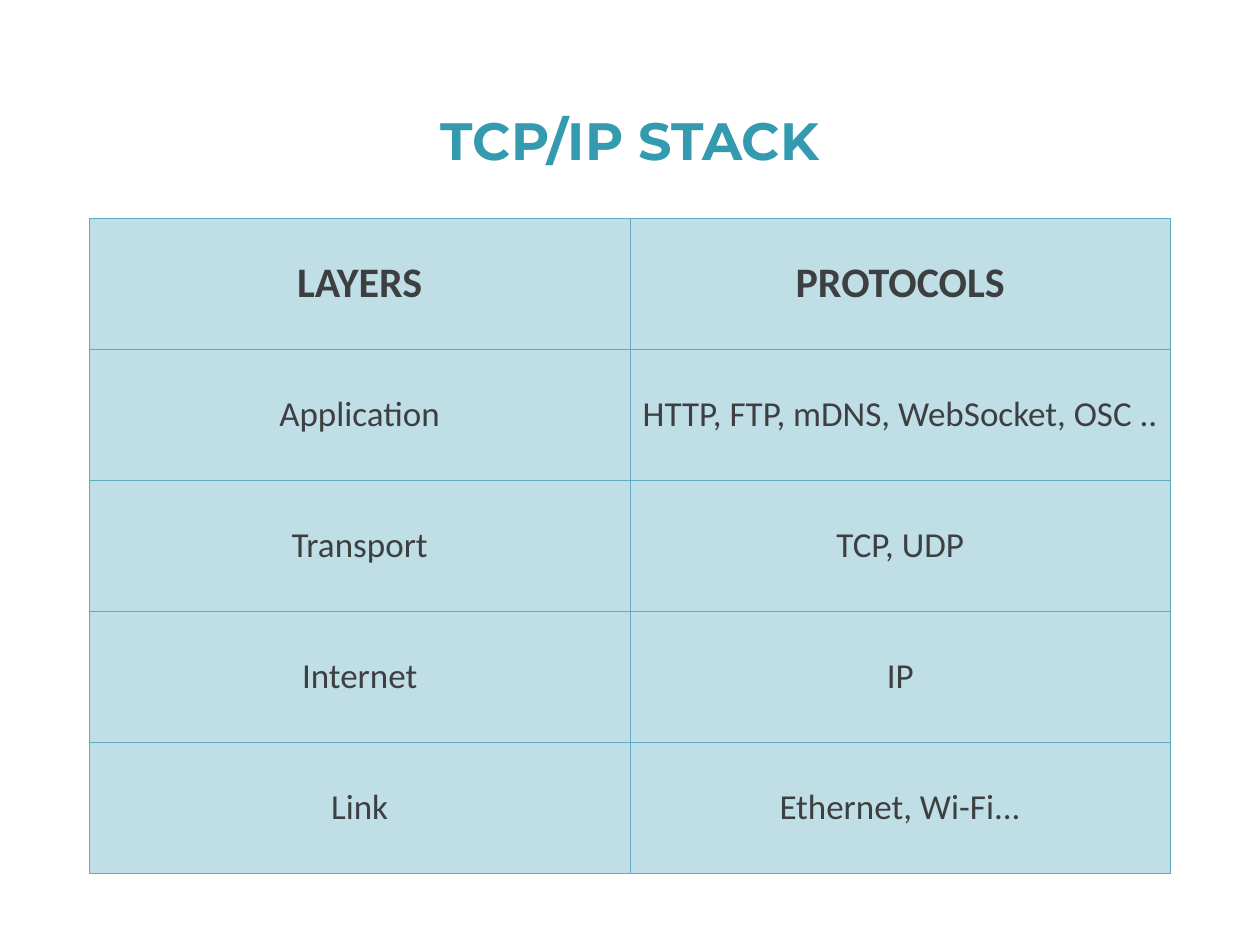
from lxml.etree import SubElement as Sub
from pptx import Presentation
from pptx.dml.color import RGBColor
from pptx.enum.text import MSO_ANCHOR as Anchor, PP_ALIGN as Align
from pptx.oxml.ns import qn
from pptx.util import Inches, Pt

ROWS = [
    ("LAYERS", "PROTOCOLS"),
    ("Application", "HTTP, FTP, mDNS, WebSocket, OSC .."),
    ("Transport", "TCP, UDP"),
    ("Internet", "IP"),
    ("Link", "Ethernet, Wi-Fi..."),
]


def color(code):
    return RGBColor.from_string(code)


class Deck:
    accent, ink, tint, edge = "339AAF", "3D3F41", "BFDEE6", "5FACC0"
    head, body = "Montserrat", "Calibri"

    def __init__(self, wide, high):
        self.show = Presentation()
        self.show.slide_width = Inches(wide)
        self.show.slide_height = Inches(high)
        self.slide = self.show.slides.add_slide(self.show.slide_layouts[5])
        back = self.slide.background.fill
        back.solid()
        back.fore_color.rgb = color("FFFFFF")

    def label(self, frame, text, face, size, tone, bold):
        frame.text = text
        for para in frame.paragraphs:
            para.alignment = Align.CENTER
            for run in para.runs:
                font = run.font
                font.name, font.size, font.bold = face, Pt(size), bold
                font.color.rgb = color(tone)

    def title(self, text, left, top, wide, high):
        box = self.slide.shapes.title
        box.left, box.top = Inches(left), Inches(top)
        box.width, box.height = Inches(wide), Inches(high)
        frame = box.text_frame
        frame.margin_left = frame.margin_right = 0
        frame.margin_top = frame.margin_bottom = 0
        frame.vertical_anchor = Anchor.MIDDLE
        self.label(frame, text, self.head, 30, self.accent, True)

    def border(self, cell, width):
        props = cell._tc.get_or_add_tcPr()
        for side in ("a:lnL", "a:lnR", "a:lnT", "a:lnB"):
            line = Sub(props, qn(side), w=str(Pt(width)))
            fill = Sub(line, qn("a:solidFill"))
            Sub(fill, qn("a:srgbClr"), val=self.edge)

    def table(self, rows, left, top, wide, high):
        grid = self.slide.shapes.add_table(
            len(rows), len(rows[0]),
            Inches(left), Inches(top), Inches(wide), Inches(high)).table
        for r, row in enumerate(rows):
            for c, text in enumerate(row):
                cell = grid.cell(r, c)
                cell.vertical_anchor = Anchor.MIDDLE
                # Borders come before the fill in the cell's XML
                self.border(cell, 0.5)
                cell.fill.solid()
                cell.fill.fore_color.rgb = color(self.tint)
                size = 24 if r == 0 else 20
                self.label(cell.text_frame, text, self.body, size,
                           self.ink, r == 0)


def main():
    deck = Deck(10, 7.5)
    # Heading
    deck.title("TCP/IP STACK", 0.5, 0.57, 9, 1.08)
    # Layers and their protocols
    deck.table(ROWS, 0.71, 1.73, 8.58, 5.2)
    deck.show.save("out.pptx")


if __name__ == "__main__":
    main()
